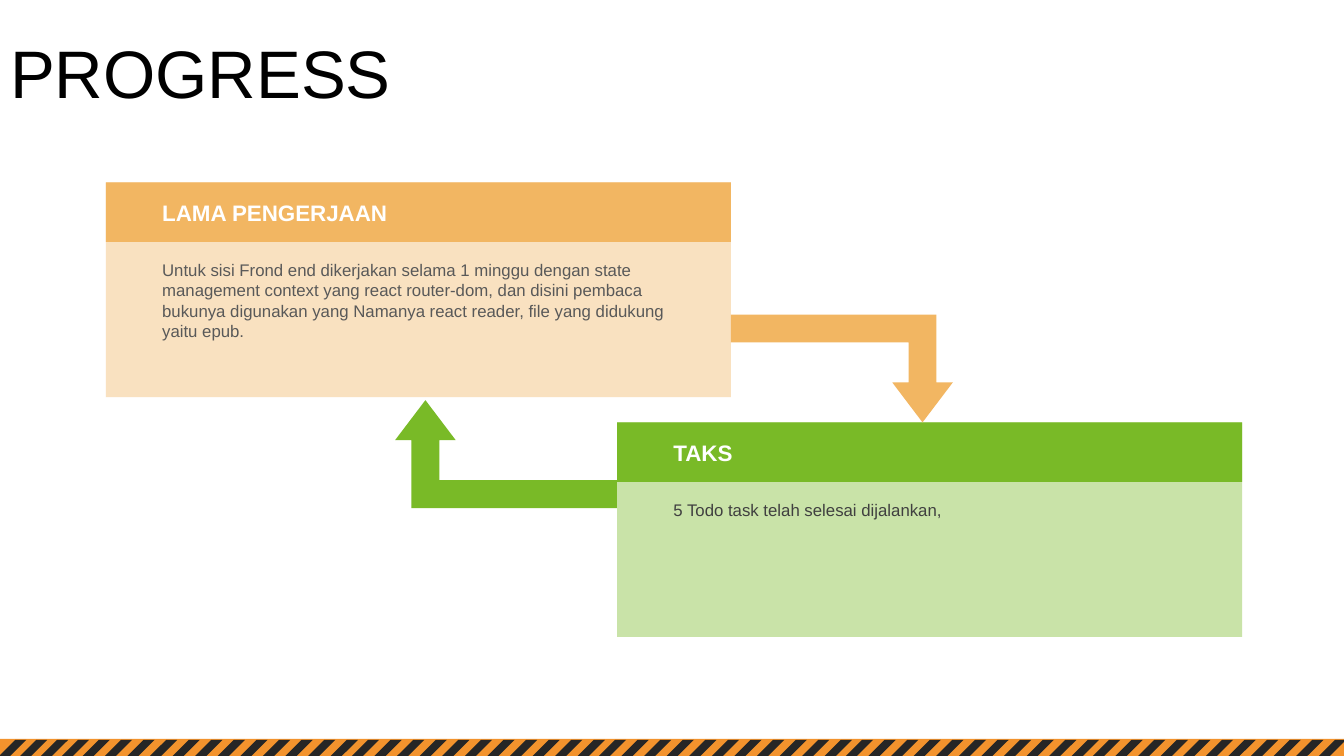
from lxml import etree
from pptx import Presentation
from pptx.dml.color import RGBColor
from pptx.enum.shapes import MSO_SHAPE
from pptx.enum.text import MSO_ANCHOR, MSO_AUTO_SIZE, PP_ALIGN
from pptx.oxml.ns import qn
from pptx.util import Inches, Pt

RECT = MSO_SHAPE.RECTANGLE
BENT_ARROW = MSO_SHAPE.BENT_UP_ARROW
TOP, MIDDLE = MSO_ANCHOR.TOP, MSO_ANCHOR.MIDDLE
LEFT = PP_ALIGN.LEFT
GROW = MSO_AUTO_SIZE.SHAPE_TO_FIT_TEXT
NO_FIT = MSO_AUTO_SIZE.NONE

TITLE = "PROGRESS"
ORANGE, GREEN = "F2B662", "79BA27"
BAR_COLOR, STRIPE_COLOR = "F3932D", "262626"
CARDS = [
    {"at": (1.05, 1.81), "color": ORANGE, "head": "LAMA PENGERJAAN", "text_color": "595959",
     "text": "Untuk sisi Frond end dikerjakan selama 1 minggu dengan state management "
             "context yang react router-dom, dan disini pembaca bukunya digunakan yang "
             "Namanya react reader, file yang didukung yaitu epub.", "text_h": 0.91},
    {"at": (6.12, 4.19), "color": GREEN, "head": "TAKS", "text_color": "404040",
     "text": "5 Todo task telah selesai dijalankan,", "text_h": 0.3},
]
SLIDE_W, SLIDE_H = 13.33, 7.5
CARD_W, CARD_H, HEAD_H = 6.2, 2.13, 0.59
TEXT_DX, TEXT_W, HEAD_DY, TEXT_DY = 0.46, 5.29, 0.12, 0.72
ARROW_W, ARROW_H, ARROW_GAP = 2.2, 1.07, 0.03
ARROW_ADJ = (0.258, 0.28, 0.37)
BAR_Y, BAR_H = 7.33, 0.19
STRIPE_Y, STRIPE_H, STRIPE_W = 7.34, 0.18, 0.11
STRIPE_RUNS = [(13.24 - 2.45 * i, 0.224, 11) for i in range(5)] + [(0.98, 0.207, 5)]


def rgb(value):
    return RGBColor.from_string(value)


def paint(sp, color, alpha=None):
    sp.shadow.inherit = False
    sp.fill.solid()
    sp.fill.fore_color.rgb = rgb(color)
    sp.line.fill.background()
    if alpha:
        clr = sp._element.spPr.find(qn("a:solidFill"))[0]
        etree.SubElement(clr, qn("a:alpha")).set("val", str(alpha * 1000))


def add_shape(kind, x, y, w, h, color, alpha=None):
    sp = slide.shapes.add_shape(kind, Inches(x), Inches(y), Inches(w), Inches(h))
    paint(sp, color, alpha)
    return sp


def write(sp, text, size, color, bold=False, anchor=TOP, fit=GROW):
    tf = sp.text_frame
    tf.word_wrap = True
    tf.auto_size = fit
    tf.vertical_anchor = anchor
    tf.text = text
    p = tf.paragraphs[0]
    p.alignment = LEFT
    font = p.runs[0].font
    font.name, font.size, font.bold = "Arial", Pt(size), bold
    font.color.rgb = rgb(color)
    return p


def add_text(x, y, h, *args, **kwargs):
    sp = slide.shapes.add_textbox(Inches(x), Inches(y), Inches(TEXT_W), Inches(h))
    write(sp, *args, **kwargs)


def add_arrow(x, y, color, rotation=0):
    sp = add_shape(BENT_ARROW, x, y, ARROW_W, ARROW_H, color)
    for i, value in enumerate(ARROW_ADJ):
        sp.adjustments[i] = value
    sp._element.spPr.find(qn("a:xfrm")).set("flipH", "1")
    sp.rotation = rotation


def add_card(card):
    x, y = card["at"]
    add_shape(RECT, x, y, CARD_W, CARD_H, card["color"], 40)
    add_shape(RECT, x, y, CARD_W, HEAD_H, card["color"])
    add_text(x + TEXT_DX, y + HEAD_DY, 0.37, card["head"], 16, "FFFFFF", bold=True)
    add_text(x + TEXT_DX, y + TEXT_DY, card["text_h"], card["text"], 12, card["text_color"])


def stripe_points(x):
    bottom = STRIPE_Y + STRIPE_H
    corners = [(x, STRIPE_Y), (x + STRIPE_W, STRIPE_Y),
               (x + STRIPE_W - STRIPE_H, bottom), (x - STRIPE_H, bottom)]
    return [(Inches(px), Inches(py)) for px, py in corners]


def add_stripes():
    outlines = [stripe_points(start - i * step)
                for start, step, count in STRIPE_RUNS for i in range(count)]
    builder = slide.shapes.build_freeform(*outlines[0][0])
    for n, points in enumerate(outlines):
        if n:
            builder.move_to(*points[0])
        builder.add_line_segments(points[1:], close=True)
    paint(builder.convert_to_shape(), STRIPE_COLOR)


prs = Presentation()
prs.slide_width, prs.slide_height = Inches(SLIDE_W), Inches(SLIDE_H)
slide = prs.slides.add_slide(prs.slide_layouts[5])

title = slide.shapes.title
title.left, title.top = Inches(0), Inches(0.37)
title.width, title.height = Inches(13.01), Inches(0.79)
p = write(title, TITLE, 48, "000000", anchor=MIDDLE, fit=NO_FIT)
p.line_spacing = 0.9
p.space_before = Pt(0)

for card in CARDS:
    add_card(card)

(x1, y1), (x2, y2) = [card["at"] for card in CARDS]
add_arrow(x2 - ARROW_W, y1 + CARD_H + ARROW_GAP, GREEN)
add_arrow(x1 + CARD_W, y2 - ARROW_H, ORANGE, 180)

add_shape(RECT, 0, BAR_Y, SLIDE_W, BAR_H, BAR_COLOR)
add_stripes()

prs.save("out.pptx")
